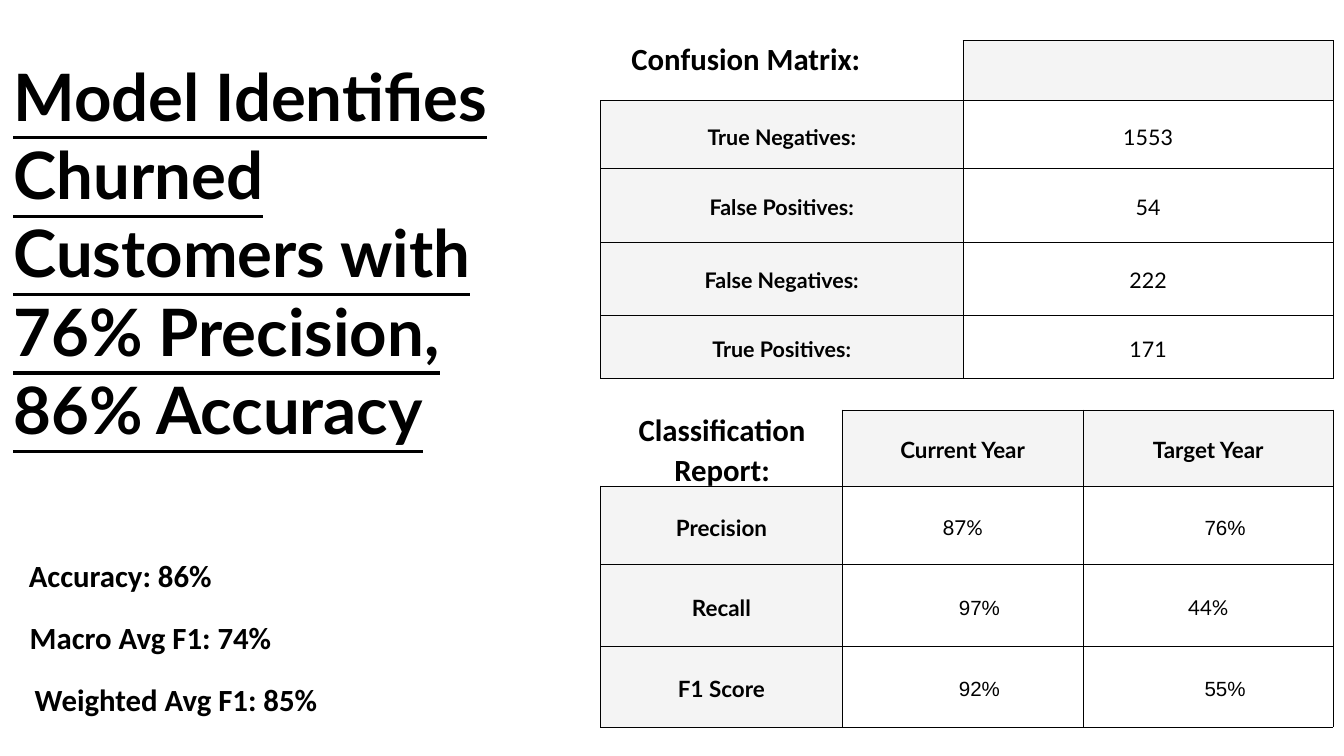
import pptx
import pptx.util
import pptx.dml.color
import pptx.enum.text
import pptx.oxml
import pptx.oxml.ns

INK = {"text": "000000", "head": "F4F4F4", "body": "FFFFFF"}
ALIGN = pptx.enum.text.PP_ALIGN
MID = pptx.enum.text.MSO_ANCHOR.MIDDLE

deck = pptx.Presentation()
deck.slide_width = pptx.util.Inches(20)
deck.slide_height = pptx.util.Inches(11.25)
slide = deck.slides.add_slide(deck.slide_layouts[6])
unit = deck.slide_width / 100  # square grid, 100 columns wide


def grid(*spans):
    return [round(span * unit) for span in spans]


def write(frame, text, size, font="Lato", bold=True, line=False, align=ALIGN.CENTER, lead=1.4):
    para = frame.paragraphs[0]
    para.alignment = align
    para.line_spacing = pptx.util.Pt(round(size * lead, 1))
    run = para.add_run()
    run.text = text
    run.font.size = pptx.util.Pt(size)
    run.font.name = font
    run.font.bold = bold
    run.font.underline = line
    run.font.color.rgb = pptx.dml.color.RGBColor.from_string(INK["text"])


# Tables: top, columns, rows, head size, body size, cells
# A body cell is a text or a (text, font) pair
tables = [
    (30.5, [17.95, 17.95, 18.6], [5.65, 5.85, 6.1, 6], 24, 22, [
        ["", "Current Year", "Target Year"],
        ["Precision", "87%", ("\t76%", "Arial")],
        ["Recall", ("\t97%", "Arial"), "44%"],
        ["F1 Score", ("\t92%", "Arial"), ("\t55%", "Arial")]]),
    (3, [26.95, 27.55], [4.5, 5.05, 5.45, 5.45, 4.7], 23, 23, [
        ["", ""],
        ["True Negatives:", "1553"],
        ["False Positives:", "54"],
        ["False Negatives:", "222"],
        ["True Positives:", "171"]]),
]
for top, cols, rows, big, small, cells in tables:
    place = grid(44.7, top, sum(cols), sum(rows))
    table = slide.shapes.add_table(len(rows), len(cols), *place).table
    table.first_row = table.horz_banding = False
    for col, wide in zip(table.columns, grid(*cols)):
        col.width = wide
    for row, high in zip(table.rows, grid(*rows)):
        row.height = high

    for r, line in enumerate(cells):
        for c, item in enumerate(line):
            cell = table.cell(r, c)
            head, corner = r == 0 or c == 0, r == c == 0

            # Fill
            if corner:
                cell.fill.background()
            else:
                cell.fill.solid()
                cell.fill.fore_color.rgb = pptx.dml.color.RGBColor.from_string(
                    INK["head" if head else "body"])

            # Borders, none on the outer sides of the corner
            for spot, side in enumerate("LRTB"):
                bare = corner and side in "LT"
                paint = "<a:noFill/>" if bare else (
                    f'<a:solidFill><a:srgbClr val="{INK["text"]}"/></a:solidFill>')
                edge = pptx.oxml.parse_xml(
                    f'<a:ln{side} {pptx.oxml.ns.nsdecls("a")} '
                    f'w="{0 if bare else 9525}">{paint}</a:ln{side}>')
                cell._tc.get_or_add_tcPr().insert(spot, edge)

            # Text
            if item:
                text, font = (item, "Lato") if isinstance(item, str) else item
                cell.vertical_anchor = MID
                cell.margin_left = cell.margin_right = pptx.util.Inches(0.21)
                cell.margin_top = cell.margin_bottom = pptx.util.Inches(0.21)
                write(cell.text_frame, text, big if head else small, font=font, bold=head)

# Title, table captions and summary scores
label = {"size": 33, "font": "Calibri", "lead": 1.3}
title = {"size": 70, "line": True, "align": ALIGN.LEFT, "lead": 1.2}
boxes = [
    ("Model Identifies Churned Customers with 76% Precision, 86% Accuracy",
     (1, 4.15, 42, 29.15), title),
    ("Classification Report:", (44.7, 30.3, 18.05, 5.9), label),
    ("Confusion Matrix:", (44.7, 2.7, 21.6, 2.95), label),
]
scores = [("Accuracy: 86%", 15.9), ("Macro Avg F1: 74%", 20.4), ("Weighted Avg F1: 85%", 24.2)]
for i, (text, wide) in enumerate(scores):
    boxes.append((text, (1, 41.2 + 4.6 * i, wide, 2.95), label))

for text, place, form in boxes:
    frame = slide.shapes.add_textbox(*grid(*place)).text_frame
    frame.word_wrap = True
    frame.auto_size = pptx.enum.text.MSO_AUTO_SIZE.SHAPE_TO_FIT_TEXT
    frame.margin_left = frame.margin_right = frame.margin_top = frame.margin_bottom = 0
    write(frame, text, **form)

deck.save("out.pptx")
